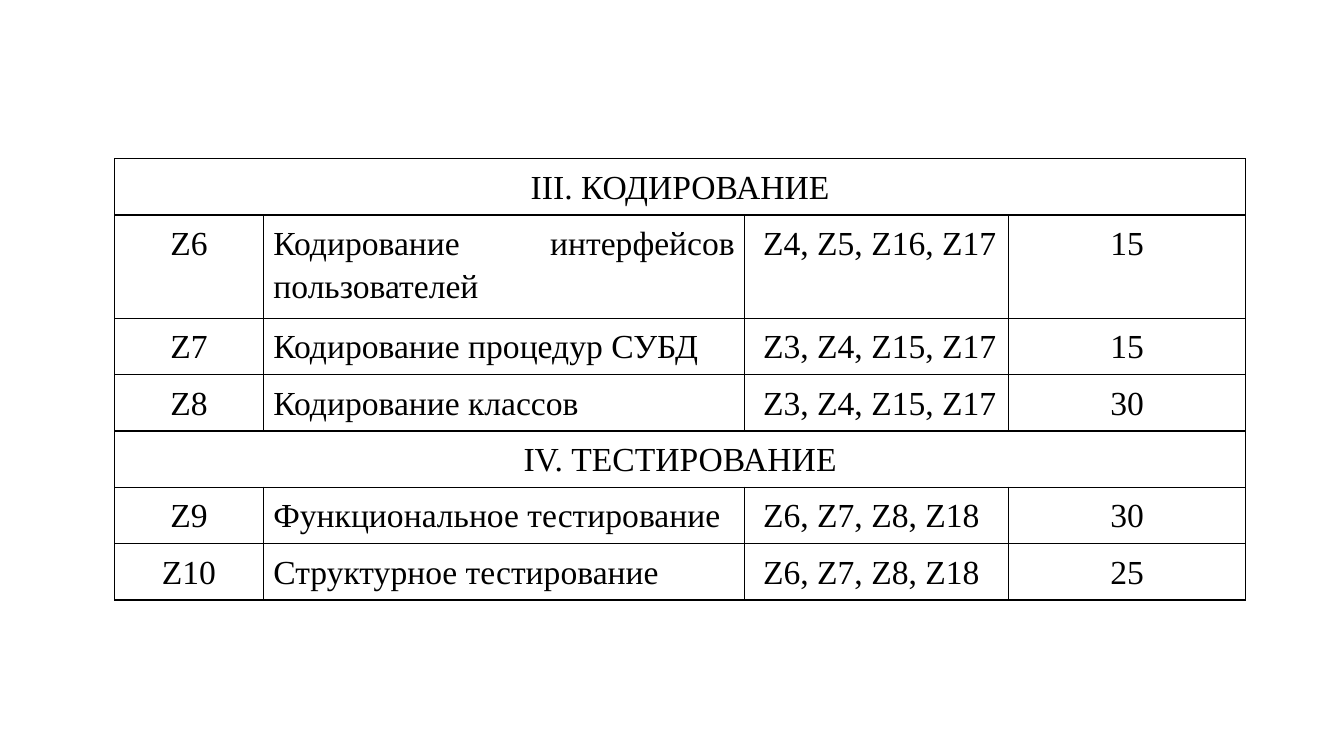
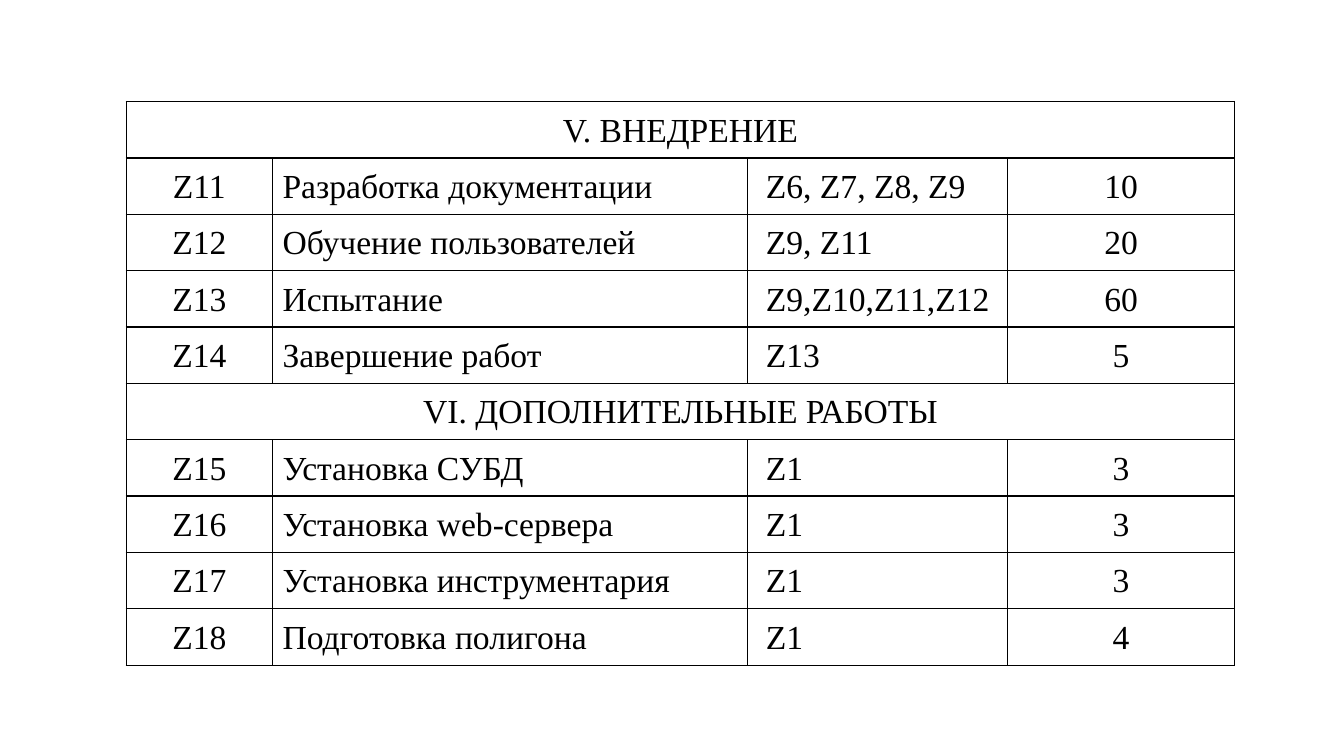
from dataclasses import dataclass

from lxml import etree
from pptx import Presentation
from pptx.dml.color import RGBColor
from pptx.enum.text import PP_ALIGN
from pptx.oxml.ns import qn
from pptx.util import Cm, Pt

CENTER, JUSTIFY = PP_ALIGN.CENTER, PP_ALIGN.JUSTIFY


@dataclass(frozen=True)
class Theme:
    ink: str = "000000"
    paper: str = "FFFFFF"
    font: str = "Times New Roman"
    size: float = 24
    lead: float = 1.15
    rule: float = 0.96
    row: float = 1.42
    aligns: tuple = (CENTER, JUSTIFY, JUSTIFY, CENTER)
    insets: tuple = (0.25, 0.25, 0.46, 0.25)


class Deck:
    def __init__(self, theme):
        self.theme = theme
        self.file = Presentation()
        self.file.slide_width, self.file.slide_height = Cm(33.87), Cm(19.05)
        self.slide = None

    def page(self):
        self.slide = self.file.slides.add_slide(self.file.slide_layouts[6])

    def frame(self, cell):
        """Draw all four borders, then the cell fill."""
        props = cell._tc.get_or_add_tcPr()
        for side in ("lnL", "lnR", "lnT", "lnB"):
            line = etree.SubElement(props, qn("a:" + side), w=str(Pt(self.theme.rule)))
            fill = etree.SubElement(line, qn("a:solidFill"))
            etree.SubElement(fill, qn("a:srgbClr"), val=self.theme.ink)
        cell.fill.solid()
        cell.fill.fore_color.rgb = RGBColor.from_string(self.theme.paper)

    def label(self, cell, text, align, inset):
        cell.margin_left = Cm(inset)
        para = cell.text_frame.paragraphs[0]
        para.text = text
        para.alignment = align
        para.line_spacing = self.theme.lead
        font = para.font
        font.name, font.size = self.theme.font, Pt(self.theme.size)
        font.color.rgb = RGBColor.from_string(self.theme.ink)

    def table(self, left, top, widths, rows, tall=None):
        """A row with a single text is a heading across all columns."""
        theme = self.theme
        highs = [(tall or {}).get(row[0], theme.row) for row in rows]
        grid = self.slide.shapes.add_table(
            len(rows), len(widths), Cm(left), Cm(top), Cm(sum(widths)), Cm(sum(highs))
        ).table
        grid.first_row = grid.horz_banding = False
        for col, width in zip(grid.columns, widths):
            col.width = Cm(width)
        for line, high, row in zip(grid.rows, highs, rows):
            line.height = Cm(high)
            cells = list(line.cells)
            for cell in cells:
                self.frame(cell)
            if len(row) == 1:
                cells[0].merge(cells[-1])
            for cell, text, align, inset in zip(cells, row, theme.aligns, theme.insets):
                self.label(cell, text, align, inset)


# Coding and testing
CODE = [
    ("III. КОДИРОВАНИЕ",),
    ("Z6", "Кодирование интерфейсов пользователей", "Z4, Z5, Z16, Z17", "15"),
    ("Z7", "Кодирование процедур СУБД", "Z3, Z4, Z15, Z17", "15"),
    ("Z8", "Кодирование классов", "Z3, Z4, Z15, Z17", "30"),
    ("IV. ТЕСТИРОВАНИЕ",),
    ("Z9", "Функциональное тестирование", "Z6, Z7, Z8, Z18", "30"),
    ("Z10", "Структурное тестирование", "Z6, Z7, Z8, Z18", "25"),
]

# Rollout and extra work
ROLLOUT = [
    ("V. ВНЕДРЕНИЕ",),
    ("Z11", "Разработка документации", "Z6, Z7, Z8, Z9", "10"),
    ("Z12", "Обучение пользователей", "Z9, Z11", "20"),
    ("Z13", "Испытание", "Z9,Z10,Z11,Z12", "60"),
    ("Z14", "Завершение работ", "Z13", "5"),
    ("VI. ДОПОЛНИТЕЛЬНЫЕ РАБОТЫ",),
    ("Z15", "Установка СУБД", "Z1", "3"),
    ("Z16", "Установка web-сервера", "Z1", "3"),
    ("Z17", "Установка инструментария", "Z1", "3"),
    ("Z18", "Подготовка полигона", "Z1", "4"),
]


def main():
    deck = Deck(Theme())
    deck.page()
    deck.table(2.89, 4, (3.75, 12.13, 6.65, 5.97), CODE, tall={"Z6": 2.6})
    deck.page()
    deck.table(3.18, 2.56, (3.69, 11.97, 6.55, 5.73), ROLLOUT)
    deck.file.save("out.pptx")


if __name__ == "__main__":
    main()
